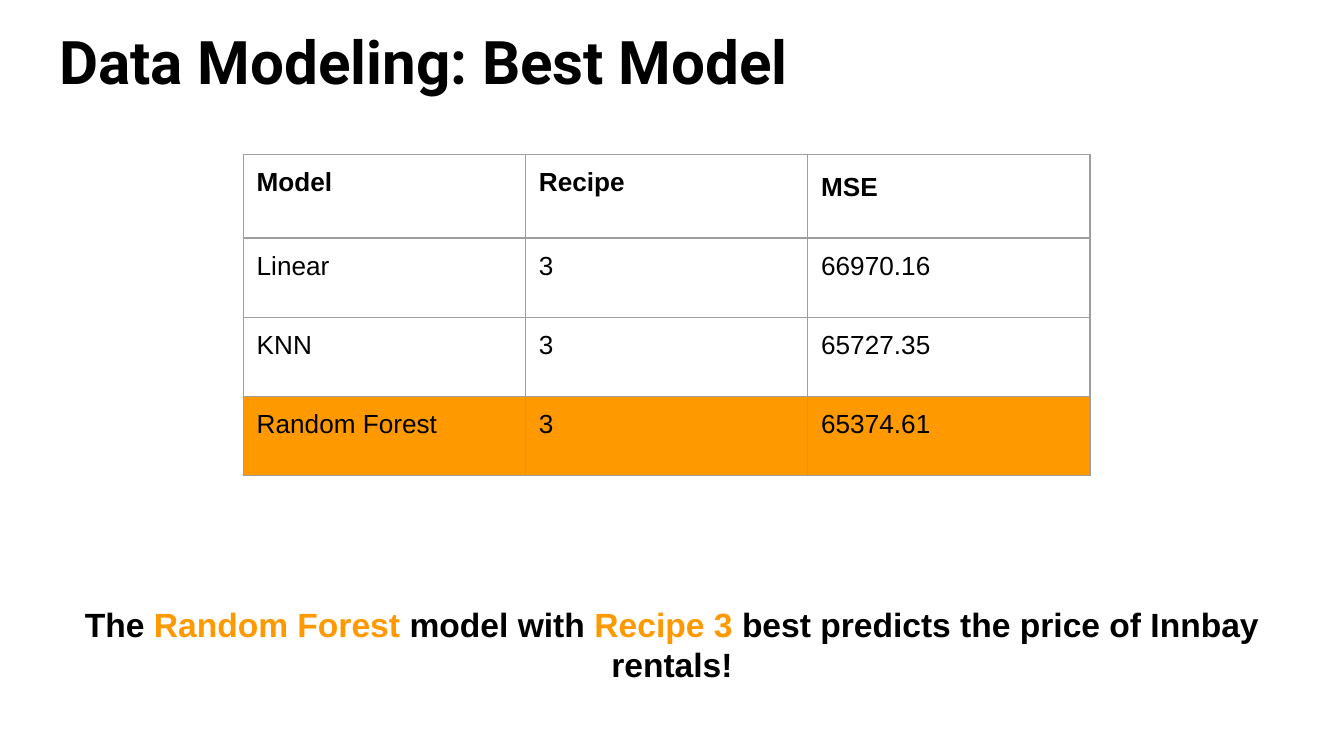
"""Build the best-model slide: a title, a results table and a conclusion."""
import pptx
import pptx.dml.color
import pptx.enum.text
import pptx.oxml
import pptx.oxml.ns
import pptx.util

COLORS = {"ink": "000000", "accent": "FF9900", "border": "9E9E9E", "page": "FFFFFF"}
WIDTH = 10
HEIGHT = WIDTH * 9 / 16
RESULTS = [
    ("Model", "Recipe", "MSE"),
    ("Linear", "3", "66970.16"),
    ("KNN", "3", "65727.35"),
    ("Random Forest", "3", "65374.61"),
]
CONCLUSION = [
    ("The ", "ink"),
    ("Random Forest ", "accent"),
    ("model with ", "ink"),
    ("Recipe 3 ", "accent"),
    ("best predicts the price of Innbay rentals!", "ink"),
]


class SlideBuilder:
    """Hold the style and the current slide; lengths are shares of its size."""

    def __init__(self, deck):
        """Add a title-only page to the deck."""
        self.deck = deck
        self.page = deck.slides.add_slide(deck.slide_layouts[5])
        self.page.background.fill.solid()
        self.page.background.fill.fore_color.rgb = self.color("page")
        self.inset = pptx.util.Inches(0.1)

    def color(self, name):
        """Return the named colour."""
        return pptx.dml.color.RGBColor.from_string(COLORS[name])

    def area(self, left, top, width, height):
        """Turn shares of the slide into lengths."""
        across, down = self.deck.slide_width, self.deck.slide_height
        return [int(share * side) for share, side in
                zip((left, top, width, height), (across, down, across, down))]

    def style(self, span, size, color="ink", bold=True, font="Arial"):
        """Format one run."""
        span.font.name, span.font.size = font, pptx.util.Pt(size)
        span.font.bold = bold
        span.font.color.rgb = self.color(color)

    def pad(self, holder):
        """Give a text frame or cell equal margins."""
        holder.margin_left = holder.margin_right = self.inset
        holder.margin_top = holder.margin_bottom = self.inset

    def title(self, text, area):
        """Fill and place the title placeholder."""
        box = self.page.shapes.title
        box.left, box.top, box.width, box.height = self.area(*area)
        frame = box.text_frame
        frame.text = text
        frame.word_wrap = True
        frame.auto_size = pptx.enum.text.MSO_AUTO_SIZE.NONE
        frame.vertical_anchor = pptx.enum.text.MSO_ANCHOR.TOP
        self.pad(frame)
        para = frame.paragraphs[0]
        para.alignment = pptx.enum.text.PP_ALIGN.LEFT
        self.style(para.runs[0], 32.2, font="Roboto")

    def statement(self, parts, area):
        """Add a centred line of coloured parts."""
        frame = self.page.shapes.add_textbox(*self.area(*area)).text_frame
        frame.word_wrap = True
        frame.auto_size = pptx.enum.text.MSO_AUTO_SIZE.SHAPE_TO_FIT_TEXT
        self.pad(frame)
        para = frame.paragraphs[0]
        para.alignment = pptx.enum.text.PP_ALIGN.CENTER
        for text, color in parts:
            span = para.add_run()
            span.text = text
            self.style(span, 18, color)

    def outline(self, cell):
        """Draw all four borders of a cell."""
        properties = cell._tc.get_or_add_tcPr()
        for position, side in enumerate(("lnL", "lnR", "lnT", "lnB")):
            line = pptx.oxml.parse_xml(
                f'<a:{side} {pptx.oxml.ns.nsdecls("a")} w="{pptx.util.Pt(0.75)}">'
                f'<a:solidFill><a:srgbClr val="{COLORS["border"]}"/></a:solidFill>'
                f'</a:{side}>')
            properties.insert(position, line)

    def table(self, rows, area, header_share):
        """Add a table with a bold header and a highlighted last row."""
        left, top, width, height = self.area(*area)
        table = self.page.shapes.add_table(
            len(rows), len(rows[0]), left, top, width, height).table
        table.first_row = table.horz_banding = False
        header = int(height * header_share)
        for index, values in enumerate(rows):
            table.rows[index].height = (
                header if index == 0 else (height - header) // (len(rows) - 1))
            for column, value in enumerate(values):
                cell = table.cell(index, column)
                cell.text_frame.text = value
                self.pad(cell)
                self.style(cell.text_frame.paragraphs[0].runs[0], 14, bold=index == 0)
                if index == len(rows) - 1:
                    cell.fill.solid()
                    cell.fill.fore_color.rgb = self.color("accent")
                else:
                    cell.fill.background()
                self.outline(cell)
        last_heading = table.cell(0, len(rows[0]) - 1).text_frame.paragraphs[0]
        last_heading.line_spacing = 1.15
        last_heading.space_after = pptx.util.Pt(12)


def main():
    """Build and save the deck."""
    deck = pptx.Presentation()
    deck.slide_width = pptx.util.Inches(WIDTH)
    deck.slide_height = pptx.util.Inches(HEIGHT)
    builder = SlideBuilder(deck)
    builder.title("Data Modeling: Best Model",
                  (0.34 / WIDTH, 0.08 / HEIGHT, 9.32 / WIDTH, 0.63 / HEIGHT))
    builder.table(RESULTS, (1.81 / WIDTH, 1.15 / HEIGHT, 6.3 / WIDTH, 2.39 / HEIGHT), 0.26)
    builder.statement(CONCLUSION,
                      (0.16 / WIDTH, 4.39 / HEIGHT, 9.68 / WIDTH, 0.5 / HEIGHT))
    deck.save("out.pptx")


if __name__ == "__main__":
    main()
